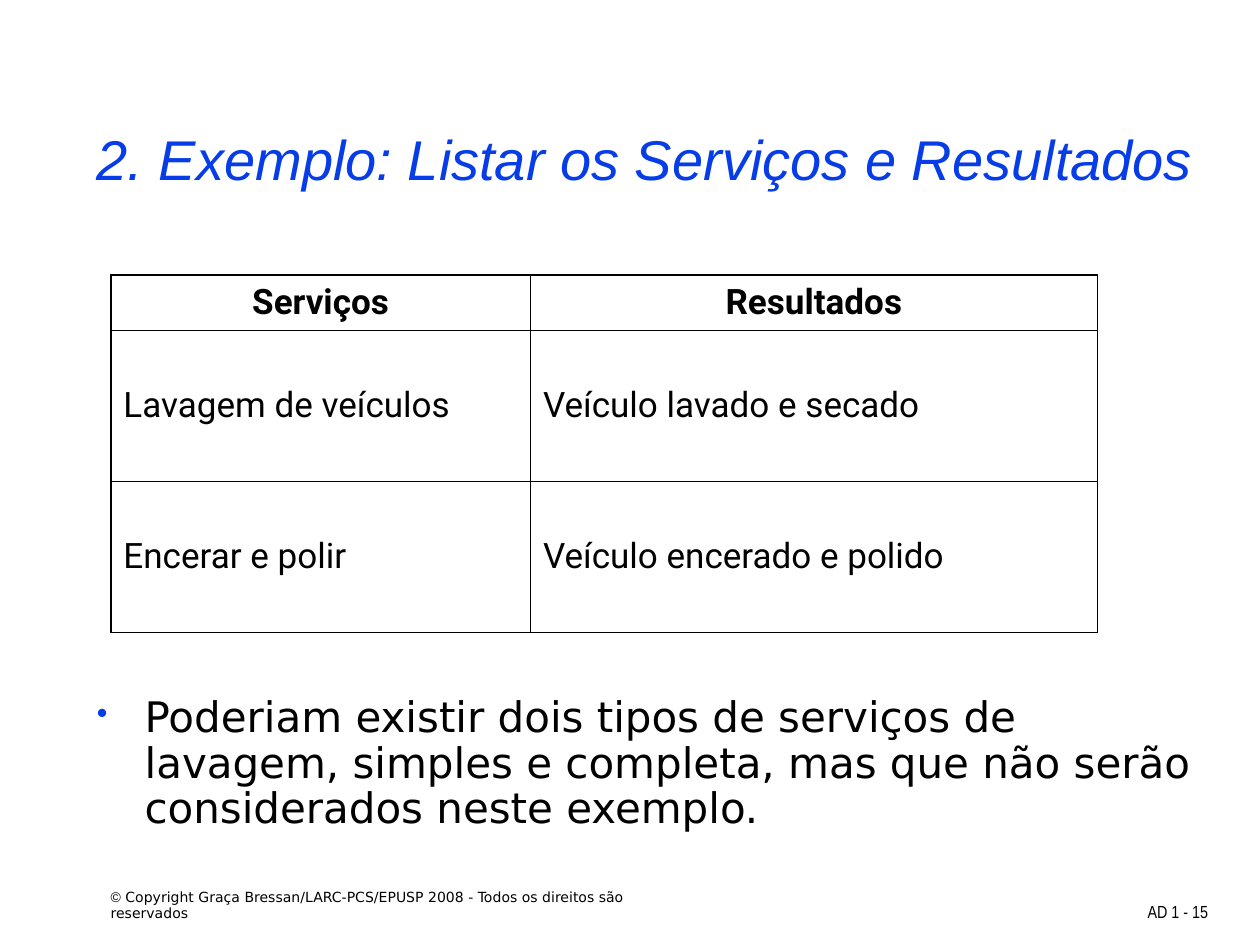
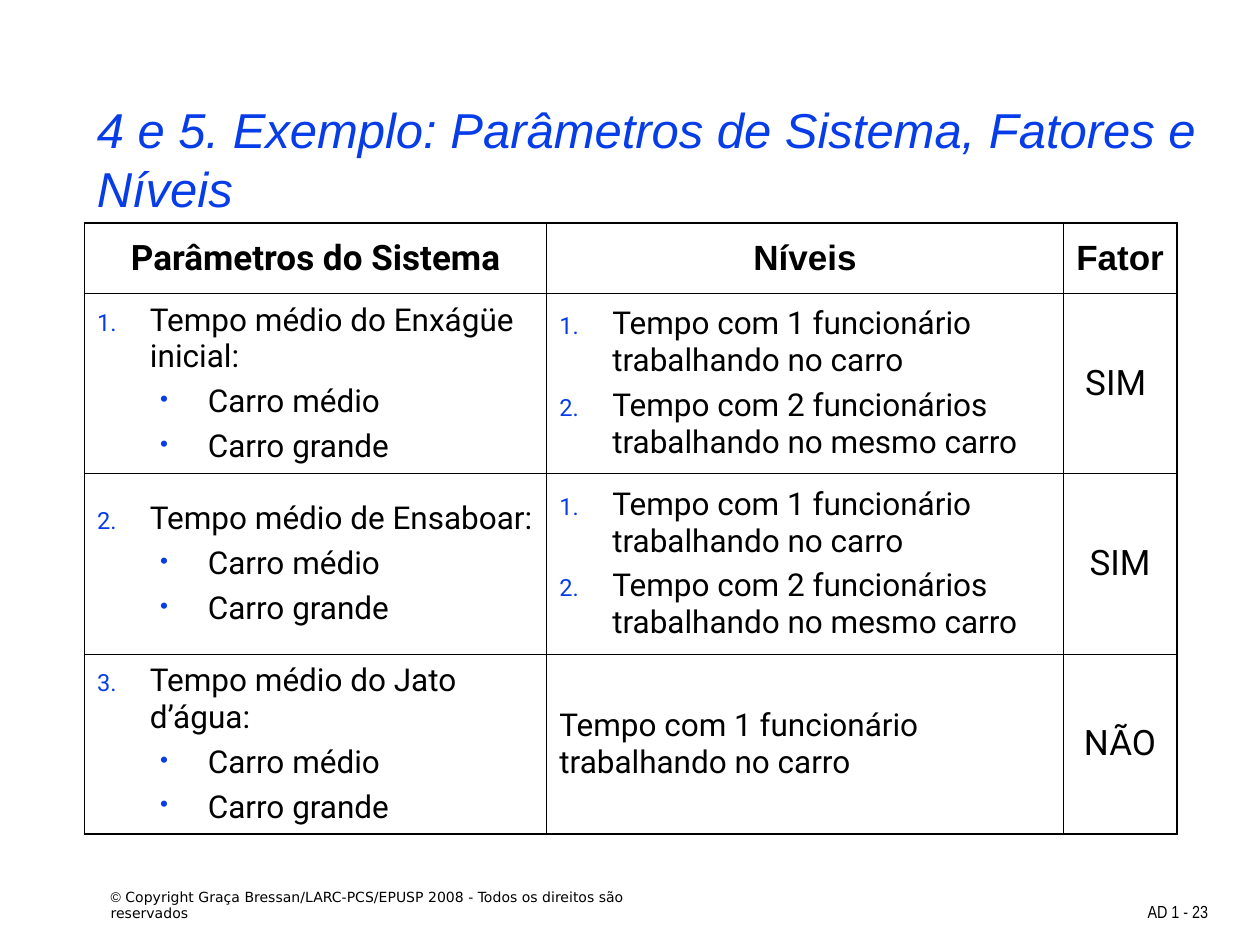
from pptx import Presentation
from pptx.dml.color import RGBColor as RGB
from pptx.enum.text import MSO_ANCHOR as Anchor, PP_ALIGN as Align
from pptx.oxml.ns import qn
from pptx.util import Inches, Pt
from lxml.etree import SubElement as Sub

HUES = {"ink": "000000", "blue": "063DE8"}
SANS, BODY, WIDE, SLIM = "Arial", "Roboto", "DejaVu Sans", "Arial Narrow"
OUTER, INNER = 1.08, 0.45  # table line widths in points


def add_run(para, text, size, font, hue="ink", bold=False, italic=False):
    run = para.add_run()
    run.text = text
    face = run.font
    face.size, face.name = Pt(size), font
    face.bold, face.italic = bold, italic
    face.color.rgb = RGB.from_string(HUES[hue])


def add_box(slide, box, anchor=Anchor.TOP):
    """Add a text box and give its first paragraph."""
    frame = slide.shapes.add_textbox(*map(Inches, box)).text_frame
    frame.word_wrap = True
    frame.vertical_anchor = anchor
    return frame.paragraphs[0]


def indent(para, left, hang):
    props = para._p.get_or_add_pPr()
    props.set("marL", str(Inches(left)))
    props.set("indent", str(Inches(-hang)))
    return props


def add_mark(para, left, hang, start=None):
    """Blue bullet, or a number counted from start."""
    props = indent(para, left, hang)
    tint = Sub(props, qn("a:buClr"))
    Sub(tint, qn("a:srgbClr"), val=HUES["blue"])
    Sub(props, qn("a:buSzPct"), val="75000")
    if start is None:
        Sub(props, qn("a:buChar"), char="•")
    else:
        auto = Sub(props, qn("a:buAutoNum"), type="arabicPeriod")
        if start > 1:
            auto.set("startAt", str(start))


# Cell content: each function fills one cell's text frame
def next_para(frame, gap):
    first = frame.paragraphs[0]
    para = frame.add_paragraph() if first.runs else first
    para.space_before = Pt(gap)
    return para


def put_plain(frame, text, size=20, gap=5):
    add_run(next_para(frame, gap), text, size, BODY)


def put_head(frame, text, font=BODY):
    para = next_para(frame, 5)
    para.alignment = Align.CENTER
    add_run(para, text, 20, font, bold=True)


def put_list(frame, items, start=1):
    for text in items:
        para = next_para(frame, 4.5)
        add_mark(para, 0.42, 0.42, start)
        add_run(para, text, 18, BODY)


def put_param(frame, text, start):
    put_list(frame, [text], start)
    for car in ("Carro médio", "Carro grande"):
        para = next_para(frame, 4.5)
        para.level = 1
        add_mark(para, 0.88, 0.38)
        add_run(para, car, 18, BODY)


def put_factor(frame, text):
    para = next_para(frame, 5)
    para.alignment = Align.CENTER
    indent(para, 0.42, 0.42)
    add_run(para, text, 20, BODY)


# Tables: thick frame, thin inner lines, no fill
def rule_cell(cell, edges):
    props = cell._tc.get_or_add_tcPr()
    for side, outer in edges:
        width = Pt(OUTER if outer else INNER)
        line = Sub(props, qn("a:ln" + side), w=str(int(width)))
        fill = Sub(line, qn("a:solidFill"))
        Sub(fill, qn("a:srgbClr"), val=HUES["ink"])
    cell.fill.background()


def add_grid(slide, left, top, cols, rows, cells):
    """Each cell is a function and its arguments."""
    box = (left, top, sum(cols), sum(rows))
    table = slide.shapes.add_table(
        len(rows), len(cols), *map(Inches, box)).table
    table.first_row = table.horz_banding = False
    for col, width in zip(table.columns, cols):
        col.width = Inches(width)
    for row, height in zip(table.rows, rows):
        row.height = Inches(height)
    for r, line in enumerate(cells):
        for c, (put, *args) in enumerate(line):
            cell = table.cell(r, c)
            cell.vertical_anchor = Anchor.MIDDLE
            rule_cell(cell, [("L", c == 0), ("R", c == len(cols) - 1),
                             ("T", r == 0), ("B", r == len(rows) - 1)])
            put(cell.text_frame, *args)


# Shared title and footer
def add_base(deck, title, size, page):
    slide = deck.slides.add_slide(deck.slide_layouts[6])
    note = add_box(slide, (0.78, 7, 4.64, 0.36))
    add_run(note, "©", 8, SANS)
    add_run(note, " Copyright Graça Bressan/LARC-PCS/EPUSP 2008"
            " - Todos os direitos são reservados", 8, WIDE)
    add_run(add_box(slide, (9.01, 7.11, 0.99, 0.25), Anchor.MIDDLE),
            f"AD 1 - {page}", 10, SLIM)
    add_run(add_box(slide, (0.67, 0.92, 8.92, 0.67), Anchor.MIDDLE),
            title, size, SANS, "blue", italic=True)
    return slide


def add_services(deck):
    slide = add_base(
        deck, "2. Exemplo: Listar os Serviços e Resultados", 32, 15)
    add_grid(slide, 0.88, 2.18, [3.33, 4.5], [0.44, 1.2, 1.2], [
        [(put_head, "Serviços"), (put_head, "Resultados")],
        [(put_plain, "Lavagem de veículos"),
         (put_plain, "Veículo lavado e secado")],
        [(put_plain, "Encerar e polir"),
         (put_plain, "Veículo encerado e polido")],
    ])
    # Remark under the table
    para = add_box(slide, (0.67, 5.48, 9, 1.4))
    para.line_spacing = 0.9
    add_mark(para, 0.38, 0.38)
    add_run(para, "Poderiam existir dois tipos de serviços de lavagem, "
            "simples e completa, mas que não serão considerados neste "
            "exemplo.", 24, WIDE)


def add_levels(deck):
    slide = add_base(
        deck, "4 e 5. Exemplo: Parâmetros de Sistema, Fatores e Níveis",
        28, 23)
    one = "Tempo com 1 funcionário trabalhando no carro"
    two = "Tempo com 2 funcionários trabalhando no mesmo carro"
    both = (put_list, [one, two])
    add_grid(slide, 0.67, 1.77, [3.67, 4.1, 0.9], [0.56] + [1.43] * 3, [
        [(put_head, "Parâmetros do Sistema"),
         (put_head, "Níveis", SANS), (put_head, "Fator", SANS)],
        [(put_param, "Tempo médio do Enxágüe inicial:", 1),
         both, (put_factor, "SIM ")],
        [(put_param, "Tempo médio de Ensaboar:", 2),
         both, (put_factor, "SIM")],
        [(put_param, "Tempo médio do Jato d’água:", 3),
         (put_plain, one, 18, 4.5), (put_factor, "NÃO")],
    ])


def main():
    deck = Presentation()
    deck.slide_width, deck.slide_height = Inches(10), Inches(7.5)
    add_services(deck)
    add_levels(deck)
    deck.save("out.pptx")


if __name__ == "__main__":
    main()
